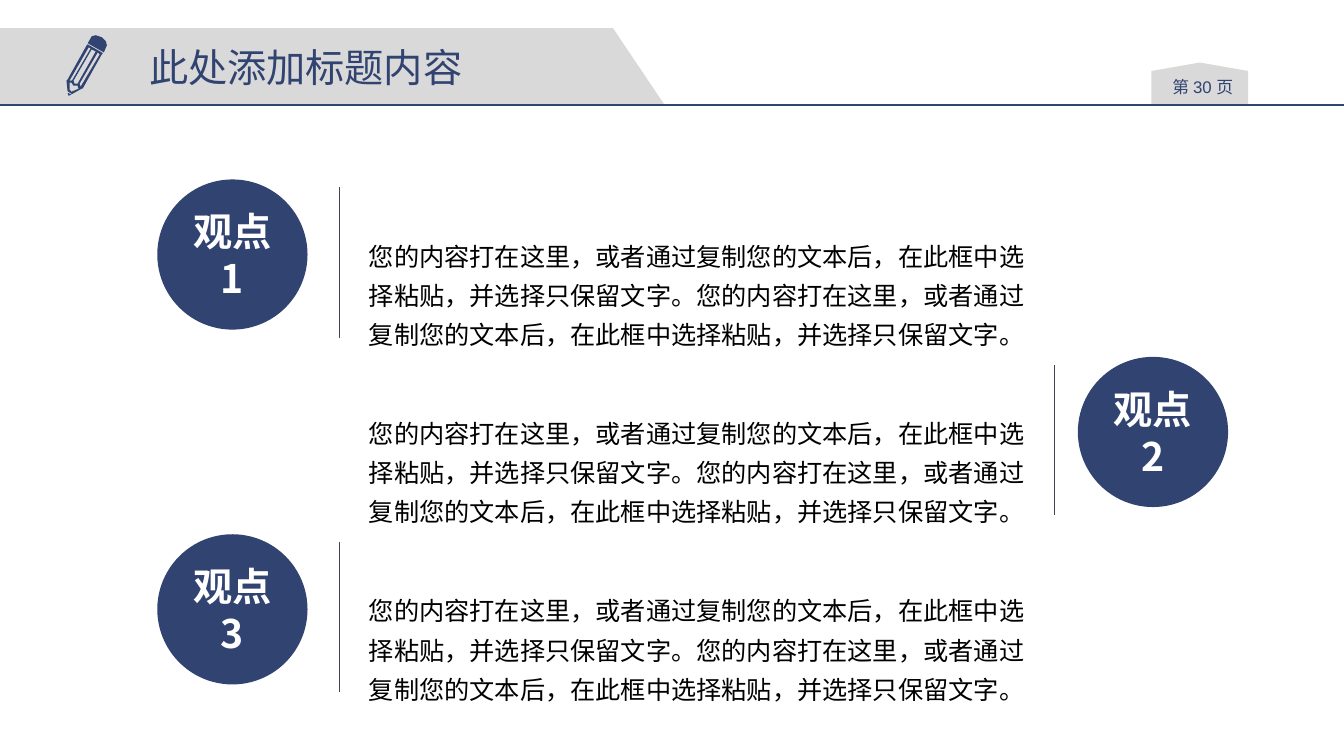
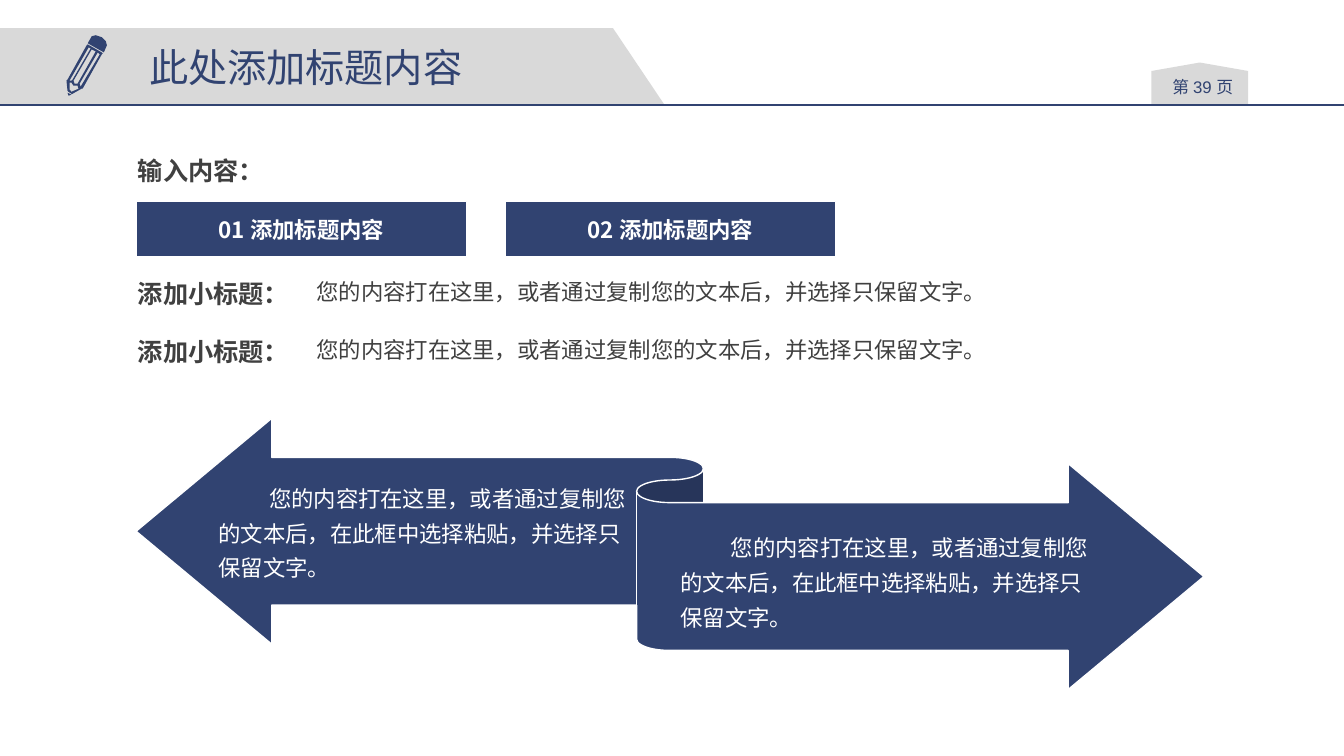
from dataclasses import dataclass, replace

from lxml import etree
from pptx import Presentation
from pptx.dml import color
from pptx.enum import shapes, text
from pptx.oxml import ns
from pptx.util import Pt

PX = 9144
SLIDE_W, SLIDE_H = 1333, 750
SANS = "Noto Sans CJK SC"


@dataclass(frozen=True)
class Type:
    size: int
    color: str
    bold: bool = False
    font: str = SANS


@dataclass(frozen=True)
class Theme:
    navy: str = "314371"
    band: str = "D9D9D9"
    rule: str = "414455"
    white: str = "FFFFFF"
    title: Type = Type(28, "314371")
    page: Type = Type(12, "314371")
    badge: Type = Type(28, "FFFFFF", True)
    body: Type = Type(18, "000000")
    label: Type = Type(18, "404040", True)
    detail: Type = Type(16, "404040")
    button: Type = Type(16, "FFFFFF", True)
    ribbon: Type = Type(16, "FFFFFF")


PENCIL_CAP = [[(91, 36), (95, 35), (101, 37), (105, 41), (106, 45), (103, 52), (87, 43)]]
PENCIL_BODY = [
    [(66, 80), (67, 90), (68, 91), (71, 93), (72, 93), (81, 88), (82, 88),
     (101, 54), (102, 53), (101, 52), (87, 44), (86, 45), (67, 79)],
    [(69, 80), (88, 47), (90, 48), (72, 79), (71, 80)],
    [(71, 91), (69, 89), (69, 82), (71, 82), (73, 85), (77, 85), (78, 88)],
    [(73, 80), (91, 49), (95, 51), (77, 83), (74, 83)],
    [(80, 86), (79, 83), (97, 52), (99, 54)],
]
PENCIL_TIP = [[(71, 94), (67, 92), (68, 95)]]
BAND = [[(0, 28), (608, 28), (659, 104), (0, 104)]]


class Deck:
    def __init__(self, theme):
        self.theme = theme
        self.prs = Presentation()
        self.prs.slide_width = SLIDE_W * PX
        self.prs.slide_height = SLIDE_H * PX
        self.slide = None

    def paint(self, shape, fill, outline=None):
        shape.shadow.inherit = False
        shape.fill.solid()
        shape.fill.fore_color.rgb = color.RGBColor.from_string(fill)
        if outline:
            shape.line.color.rgb = color.RGBColor.from_string(outline)
            shape.line.width = Pt(1)
        else:
            shape.line.fill.background()

    def add_runs(self, frame, runs, align=text.PP_ALIGN.LEFT, spacing=None, indent=0):
        paragraph = frame.paragraphs[0]
        paragraph.alignment = align
        if spacing:
            paragraph.line_spacing = spacing
        if indent:
            paragraph._p.get_or_add_pPr().set("indent", str(indent * PX))
        for words, style in runs:
            run = paragraph.add_run()
            run.text = words
            run.font.size = Pt(style.size)
            run.font.bold = style.bold
            run.font.color.rgb = color.RGBColor.from_string(style.color)
            run.font.name = style.font
            east_asian = etree.SubElement(run._r.get_or_add_rPr(), ns.qn("a:ea"))
            east_asian.set("typeface", style.font)

    def text(self, box, runs, wrap=True, middle=False, inset=(10, 5), **layout):
        frame = self.slide.shapes.add_textbox(*(n * PX for n in box)).text_frame
        frame.word_wrap = wrap
        frame.margin_left = frame.margin_right = inset[0] * PX
        frame.margin_top = frame.margin_bottom = inset[1] * PX
        frame.vertical_anchor = text.MSO_ANCHOR.MIDDLE if middle else text.MSO_ANCHOR.TOP
        self.add_runs(frame, runs, **layout)

    def shape(self, kind, box, fill, outline=None, runs=()):
        shape = self.slide.shapes.add_shape(kind, *(n * PX for n in box))
        self.paint(shape, fill, outline)
        if runs:
            shape.text_frame.vertical_anchor = text.MSO_ANCHOR.MIDDLE
            self.add_runs(shape.text_frame, runs, text.PP_ALIGN.CENTER)
        return shape

    def outline(self, contours, fill):
        builder = self.slide.shapes.build_freeform(*contours[0][0], scale=PX)
        builder.add_line_segments(contours[0][1:], close=True)
        for start, *rest in contours[1:]:
            builder.move_to(*start)
            builder.add_line_segments(rest, close=True)
        self.paint(builder.convert_to_shape(), fill)

    def line(self, start, end, stroke, width):
        rule = self.slide.shapes.add_connector(
            shapes.MSO_CONNECTOR.STRAIGHT, *(n * PX for n in start + end))
        rule.line.color.rgb = color.RGBColor.from_string(stroke)
        rule.line.width = Pt(width)
        etree.SubElement(rule._element.spPr, ns.qn("a:effectLst"))

    def page(self, number, title):
        theme = self.theme
        self.slide = self.prs.slides.add_slide(self.prs.slide_layouts[6])
        self.outline(BAND, theme.band)
        tab = self.shape(shapes.MSO_SHAPE.FLOWCHART_OFFPAGE_CONNECTOR,
                         (1142, 62, 96, 42), theme.band)
        tab.rotation = 180
        self.text((1148, 72, 90, 30),
                  [("第 ", theme.page),
                   (f"{number} ", replace(theme.page, font="Arial")),
                   ("页", theme.page)],
                  inset=(7, 4), align=text.PP_ALIGN.CENTER)
        self.line((0, 104), (SLIDE_W, 104), theme.navy, 1)
        for part in (PENCIL_CAP, PENCIL_BODY, PENCIL_TIP):
            self.outline(part, theme.navy)
        self.text((138, 38, 334, 57), [(title, theme.title)], wrap=False)

    def viewpoint(self, name, words, top, badge_left, rule_left):
        theme = self.theme
        self.shape(shapes.MSO_SHAPE.OVAL, (badge_left, top, 149, 149), theme.navy,
                   runs=[(name, theme.badge)])
        self.text((356, top + 47, 689, 128), [(words, theme.body)], spacing=1.3)
        self.line((rule_left, top + 8), (rule_left, top + 157), theme.rule, 0.75)

    def label(self, words, top, width):
        self.text((127, top, width, 42), [(words, self.theme.label)], wrap=False, middle=True)

    def ribbon(self, box, adjustments):
        arrows = self.shape(shapes.MSO_SHAPE.LEFT_RIGHT_RIBBON, box,
                            self.theme.navy, self.theme.white)
        for index, value in enumerate(adjustments):
            arrows.adjustments[index] = value


def viewpoints_slide(deck, title):
    deck.page(30, title)
    sentence = "您的内容打在这里，或者通过复制您的文本后，在此框中选择粘贴，并选择只保留文字。"
    left_side, right_side = (156, 337), (1069, 1046)
    for index, side in enumerate((left_side, right_side, left_side)):
        deck.viewpoint(f"观点{index + 1}", sentence * 2, 178 + 176 * index, *side)


def arrows_slide(deck, title):
    theme = deck.theme
    deck.page(39, title)
    deck.label("输入内容：", 148, 153)
    for index in range(2):
        deck.shape(shapes.MSO_SHAPE.RECTANGLE, (135 + 366 * index, 200, 328, 55),
                   theme.navy, theme.white, [(f"0{index + 1} 添加标题内容", theme.button)])
    for top in (270, 328):
        deck.label("添加小标题：", top, 180)
        deck.text((304, top + 1, 813, 37),
                  [("您的内容打在这里，或者通过复制您的文本后，并选择只保留文字。", theme.detail)])
    deck.ribbon((135, 415, 1059, 269), (0.545, 0.5, 0.167))
    for left, top in ((207, 468), (665, 517)):
        deck.text((left, top, 425, 119),
                  [("您的内容打在这里，或者通过复制您的文本后，在此框中选择粘贴，并选择只保留文字。",
                    theme.ribbon)],
                  spacing=1.3, indent=50)


def main():
    deck = Deck(Theme())
    title = "此处添加标题内容"
    viewpoints_slide(deck, title)
    arrows_slide(deck, title)
    deck.prs.save("out.pptx")


if __name__ == "__main__":
    main()
